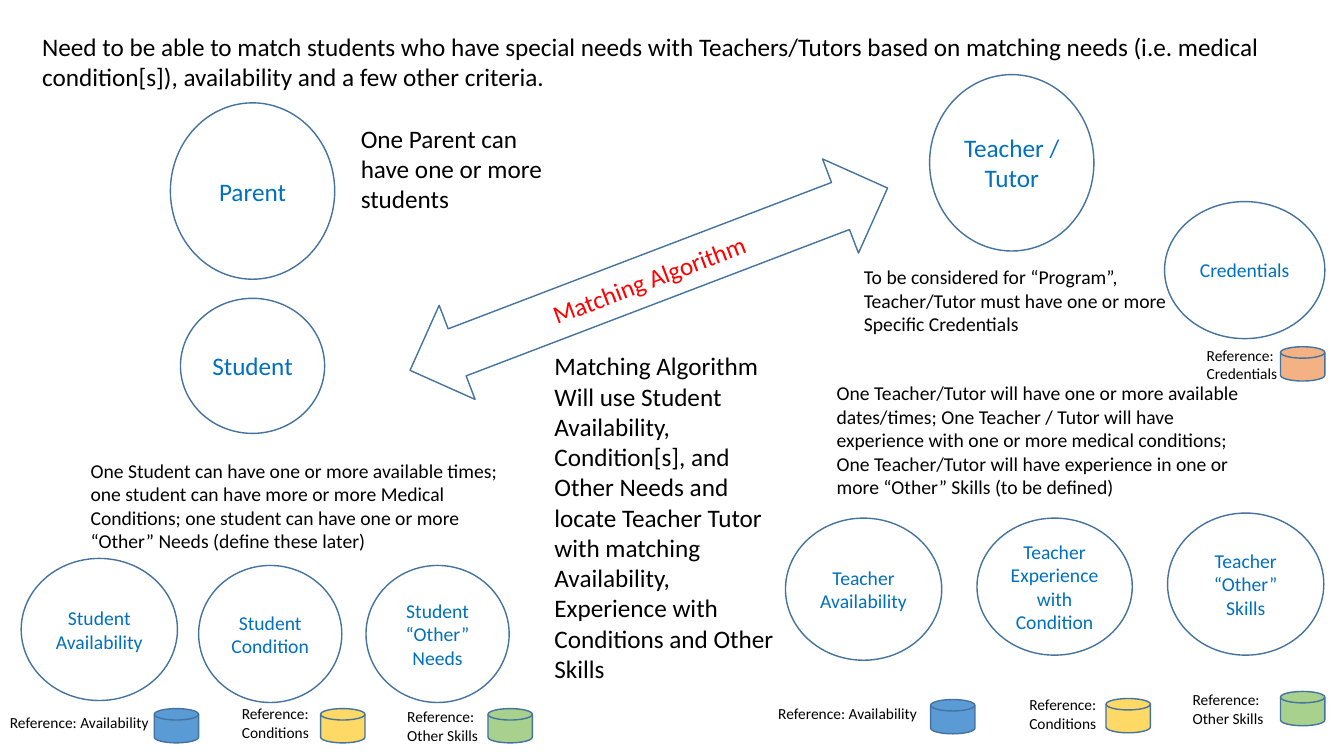
from dataclasses import dataclass

from pptx import Presentation
from pptx.dml.color import RGBColor
from pptx.enum.shapes import MSO_SHAPE as Preset
from pptx.enum.text import MSO_ANCHOR as Anchor, MSO_AUTO_SIZE as AutoSize, PP_ALIGN as Align
from pptx.util import Inches, Pt


@dataclass(frozen=True)
class Theme:
    font: str = "Calibri"
    text: str = "000000"
    entity: str = "0070C0"
    match: str = "FF0000"
    outline: str = "43739E"
    availability: str = "5B9BD5"
    condition: str = "FFD966"
    other: str = "A9D18E"
    credential: str = "F4B183"
    large: int = 18
    medium: int = 14
    small: int = 11
    line: float = 1


theme = Theme()

ENTITIES = [
    ("Parent", theme.large, (1.69, 1.02, 1.63, 1.75)),
    ("Student", theme.large, (1.79, 2.96, 1.43, 1.34)),
    ("Teacher / Tutor", theme.large, (9.22, 0.74, 1.63, 1.75)),
    ("Student Availability", theme.medium, (0.21, 5.54, 1.55, 1.41)),
    ("Student Condition", theme.medium, (1.97, 5.61, 1.42, 1.36)),
    ("Student “Other” Needs", theme.medium, (3.63, 5.61, 1.42, 1.36)),
    ("Teacher Availability", theme.medium, (7.79, 5.14, 1.55, 1.41)),
    ("Teacher Experience with Condition", theme.medium, (9.69, 5.14, 1.54, 1.36)),
    ("Teacher “Other” Skills", theme.medium, (11.58, 5.09, 1.55, 1.41)),
    ("Credentials", theme.medium, (11.55, 2, 1.59, 1.36)),
]

NOTES = [
    (["Need to be able to match students who have special needs with Teachers/Tutors "
      "based on matching needs (i.e. medical condition[s]), availability and a few other criteria."],
     theme.large, (0.32, 0.26, 12.65, 0.71)),
    (["One Parent can have one or more students"], theme.large, (3.48, 1.17, 2.1, 1.01)),
    (["One Teacher/Tutor will have one or more available dates/times; "
      "One Teacher / Tutor will have experience with one or more medical conditions; "
      "One Teacher/Tutor will have experience in one or more “Other” Skills (to be defined)"],
     theme.medium, (8.2, 3.73, 4.36, 1.28)),
    (["One Student can have one or more available times; "
      "one student can have more or more Medical Conditions; "
      "one student can have one or more “Other” Needs (define these later)"],
     theme.medium, (0.8, 4.5, 4.36, 1.04)),
    (["To be considered for “Program”, Teacher/Tutor must have one or more Specific Credentials"],
     theme.medium, (8.47, 2.58, 3.41, 0.81)),
    (["Matching Algorithm",
      "Will use Student Availability, Condition[s], and Other Needs and locate Teacher Tutor "
      "with matching Availability, Experience with Conditions and Other Skills"],
     theme.large, (5.4, 3.43, 2.38, 3.43)),
]

REFERENCES = {
    "Availability": (theme.availability, (1.6, 0.29), [((0, 7.03), (1.53, 7.03)),
                                                       ((7.62, 6.94), (9.23, 6.94))]),
    "Conditions": (theme.condition, (0.89, 0.47), [((2.3, 6.94), (3.18, 7.03)),
                                                   ((10.11, 6.85), (10.97, 6.93))]),
    "Other Skills": (theme.other, (0.95, 0.47), [((3.94, 6.97), (4.84, 7.03)),
                                                 ((11.73, 6.8), (12.7, 6.86))]),
    "Credentials": (theme.credential, (0.95, 0.47), [((11.87, 3.38), (12.7, 3.44))]),
}
DISK_SIZE = (0.44, 0.34)

MATCH = ("Matching Algorithm", (3.9, 2.27, 5.07, 1), 339.1)

deck = Presentation()
deck.slide_width, deck.slide_height = Inches(13.33), Inches(7.5)
page = deck.slides.add_slide(deck.slide_layouts[6])


def write(frame, lines, size, color, align=Align.LEFT):
    for index, line in enumerate(lines):
        para = frame.paragraphs[0] if index == 0 else frame.add_paragraph()
        para.alignment = align
        span = para.add_run()
        span.text = line
        span.font.name = theme.font
        span.font.size = Pt(size)
        span.font.color.rgb = RGBColor.from_string(color)


def add_note(lines, size, place, wrap=True):
    box = page.shapes.add_textbox(*map(Inches, place))
    box.text_frame.word_wrap = wrap
    box.text_frame.auto_size = AutoSize.SHAPE_TO_FIT_TEXT
    write(box.text_frame, lines, size, theme.text)


def add_outlined(preset, place, fill=None):
    shape = page.shapes.add_shape(preset, *map(Inches, place))
    shape.shadow.inherit = False
    shape.line.color.rgb = RGBColor.from_string(theme.outline)
    shape.line.width = Pt(theme.line)
    if fill:
        shape.fill.solid()
        shape.fill.fore_color.rgb = RGBColor.from_string(fill)
    else:
        shape.fill.background()
    return shape


def add_labelled(preset, label, size, color, place):
    shape = add_outlined(preset, place)
    shape.text_frame.word_wrap = True
    shape.text_frame.vertical_anchor = Anchor.MIDDLE
    write(shape.text_frame, [label], size, color, Align.CENTER)
    return shape


for label, size, place in ENTITIES:
    add_labelled(Preset.OVAL, label, size, theme.entity, place)

label, place, angle = MATCH
arrow = add_labelled(Preset.LEFT_RIGHT_ARROW, label, theme.large, theme.match, place)
arrow.rotation = angle

for lines, size, place in NOTES:
    add_note(lines, size, place)

for name, (color, label_size, spots) in REFERENCES.items():
    for label_spot, disk_spot in spots:
        add_outlined(Preset.FLOWCHART_MAGNETIC_DISK, disk_spot + DISK_SIZE, color)
        add_note([f"Reference: {name}"], theme.small, label_spot + label_size,
                 wrap=name != "Availability")

deck.save("out.pptx")
